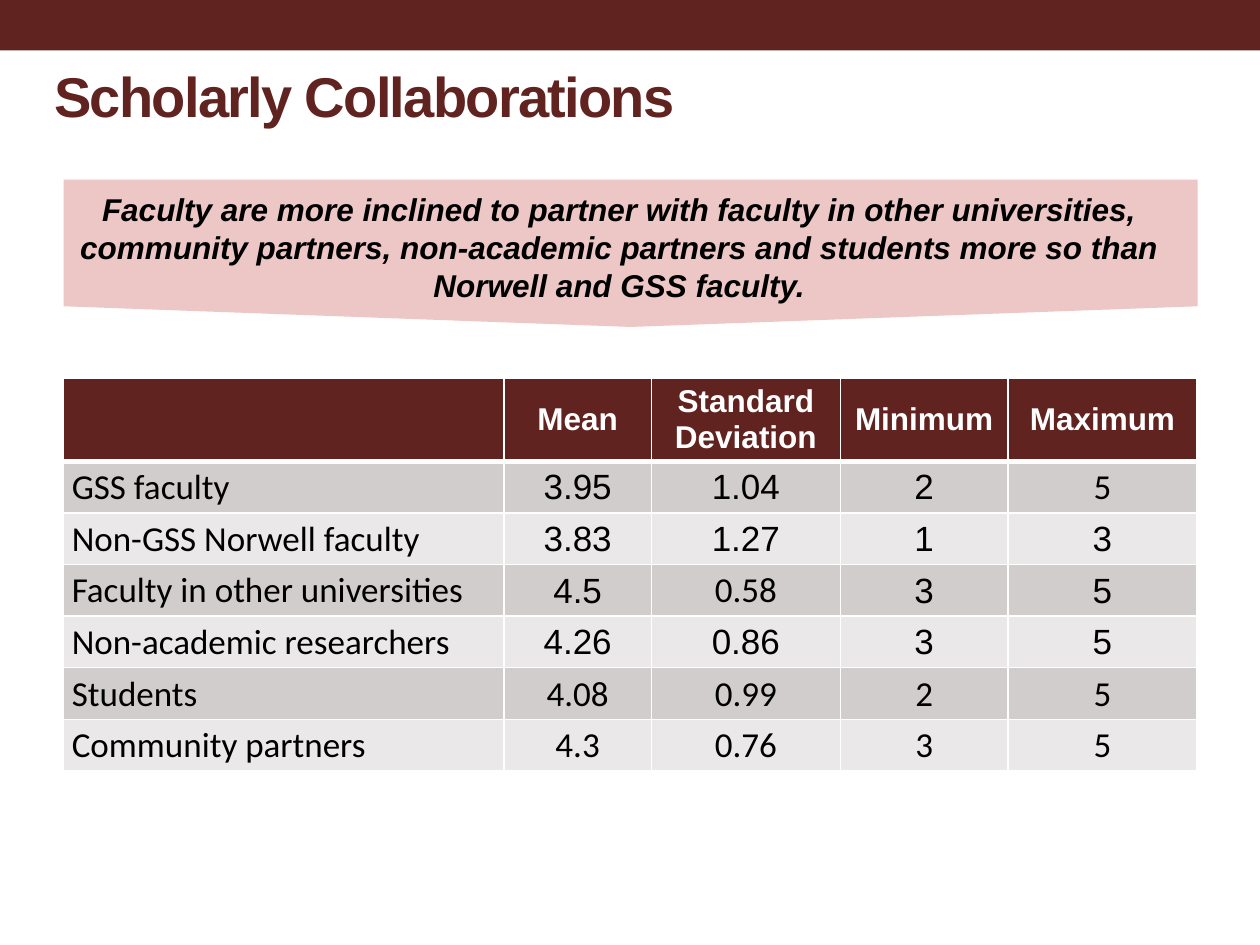
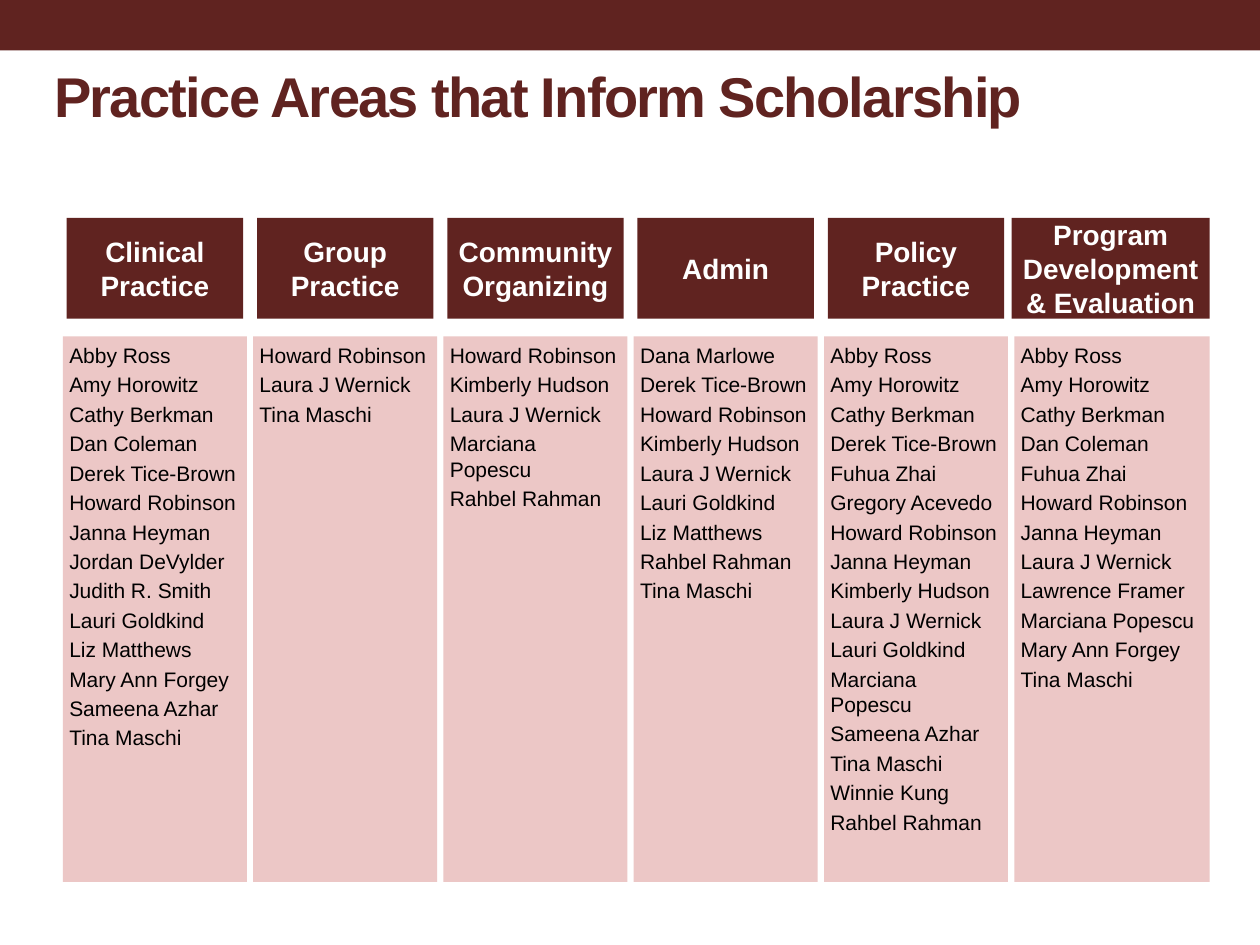
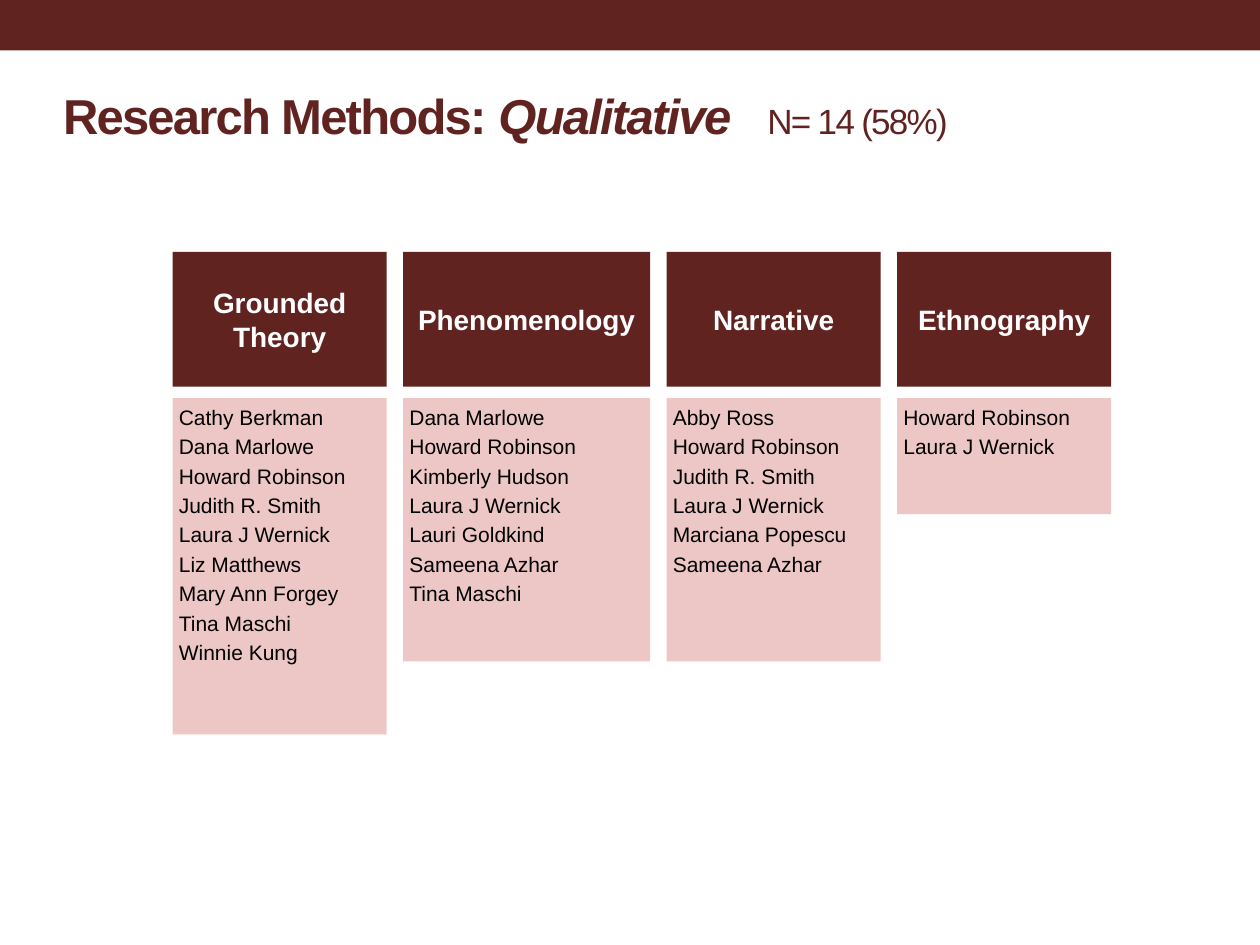
from lxml import etree
from pptx import Presentation
from pptx.dml.color import RGBColor
from pptx.enum.shapes import MSO_SHAPE as SHAPE
from pptx.enum.text import MSO_ANCHOR as ANCHOR, PP_ALIGN as ALIGN
from pptx.oxml.ns import qn
from pptx.util import Inches, Pt

COLOURS = {"maroon": "602320", "pink": "ECC7C6", "white": "FFFFFF",
           "black": "000000", "odd row": "D2CDCD", "even row": "EAE8E8"}


def write(paragraph, text, size, colour, bold=False, italic=False, font="Arial"):
    run = paragraph.add_run()
    run.text = text
    run.font.size, run.font.name = Pt(size), font
    run.font.bold, run.font.italic = bold, italic
    run.font.color.rgb = RGBColor.from_string(COLOURS[colour])
    return run


def add_panel(slide, preset, left, top, width, height, colour):
    panel = slide.shapes.add_shape(preset, Inches(left), Inches(top),
                                   Inches(width), Inches(height))
    panel.shadow.inherit = False
    panel.fill.solid()
    panel.fill.fore_color.rgb = RGBColor.from_string(COLOURS[colour])
    panel.line.fill.background()
    frame = panel.text_frame
    frame.margin_left = frame.margin_right = Inches(0.04 if colour == "maroon" else 0.05)
    frame.margin_top = frame.margin_bottom = Inches(0.05)
    frame.vertical_anchor = ANCHOR.MIDDLE if colour == "maroon" else ANCHOR.TOP
    return panel


deck = Presentation()
deck.slide_width, deck.slide_height = Inches(10), Inches(7.5)
title_only = deck.slide_layouts[5]

# Titles: left, top, then runs of text, size, bold, italic
titles = [
    (0.33, 0.42, [("Scholarly Collaborations", 32, True, False)]),
    (0.33, 0.42, [("Practice Areas that Inform Scholarship", 32, True, False)]),
    (0.4, 0.58, [("Research Methods: ", 28, True, False),
                 ("Qualitative", 28, True, True),
                 ("\tN= 14 (58%)", 20, False, False)]),
]
for left, top, runs in titles:
    slide = deck.slides.add_slide(title_only)
    title = slide.shapes.title
    title.left, title.top = Inches(left), Inches(top)
    title.width, title.height = Inches(10 - left), Inches(0.67)
    title.text_frame.vertical_anchor = ANCHOR.MIDDLE
    heading = title.text_frame.paragraphs[0]
    heading.alignment = ALIGN.LEFT
    for text, size, bold, italic in runs:
        run = write(heading, text, size, "maroon", bold, italic)
        run.font._element.set("spc", "-100")
collaborations, practice, methods = deck.slides

# Tab stop that sets the count apart from the method
tab_list = etree.SubElement(heading._p.get_or_add_pPr(), qn("a:tabLst"))
etree.SubElement(tab_list, qn("a:tab"), pos=str(Inches(5.59)), algn="l")

# Top band, shared through the layout
band = add_panel(collaborations, SHAPE.RECTANGLE, 0, 0, 10, 0.4, "maroon")
title_only.shapes.element.append(band._element)

# Slide 1: key finding on a downward banner
banner = add_panel(collaborations, SHAPE.PENTAGON, 4.42, -2.49, 1.17, 9, "pink")
banner.adjustments[0] = 0.14
banner.rotation = 90
finding = collaborations.shapes.add_textbox(Inches(0.33), Inches(1.46),
                                            Inches(9.17), Inches(1.01))
finding.text_frame.word_wrap = True
sentence = finding.text_frame.paragraphs[0]
sentence.alignment = ALIGN.CENTER
write(sentence, "Faculty are more inclined to partner with faculty in other "
      "universities, community partners, non-academic partners and students "
      "more so than Norwell and GSS faculty.", 18, "black", True, True)

# Slide 1: ratings table
ratings = [
    ("", "Mean", "Standard Deviation", "Minimum", "Maximum"),
    ("GSS faculty", "3.95", "1.04", "2", "5"),
    ("Non-GSS Norwell faculty", "3.83", "1.27", "1", "3"),
    ("Faculty in other universities", "4.5", "0.58", "3", "5"),
    ("Non-academic researchers", "4.26", "0.86", "3", "5"),
    ("Students", "4.08", "0.99", "2", "5"),
    ("Community partners", "4.3", "0.76", "3", "5"),
]
calibri_figures = {(1, 4), (3, 2)}
table = collaborations.shapes.add_table(len(ratings), 5, Inches(0.5), Inches(3),
                                        Inches(9), Inches(3.11)).table
for column, width in zip(table.columns, (3.5, 1.17, 1.5, 1.33, 1.5)):
    column.width = Inches(width)
for r, row in enumerate(ratings):
    table.rows[r].height = Inches(0.41 if r else 0.65)
    for c, text in enumerate(row):
        cell = table.cell(r, c)
        cell.vertical_anchor = ANCHOR.MIDDLE
        cell.fill.solid()
        shade = "maroon" if r == 0 else "odd row" if r % 2 else "even row"
        cell.fill.fore_color.rgb = RGBColor.from_string(COLOURS[shade])
        entry = cell.text_frame.paragraphs[0]
        entry.alignment = ALIGN.CENTER if c else ALIGN.LEFT
        if r:
            cell.margin_left = Inches(0.01 if c else 0.07)
            cell.margin_right = cell.margin_top = Inches(0.01)
            cell.margin_bottom = 0
            calibri = c == 0 or r >= 5 or (r, c) in calibri_figures
            write(entry, text, 20, "black", font="Calibri" if calibri else "Arial")
            continue
        # Heading cell with a heavier rule below
        cell.margin_top = cell.margin_bottom = Inches(0.03)
        rule = etree.Element(qn("a:lnB"), w=str(Pt(3)))
        rule_fill = etree.SubElement(rule, qn("a:solidFill"))
        etree.SubElement(rule_fill, qn("a:srgbClr"), val=COLOURS["white"])
        cell._tc.get_or_add_tcPr().insert(0, rule)
        if text:
            write(entry, text, 18, "white", bold=True)

# Slides 2 and 3: heading lines and the names below them
practice_areas = [
    (["Clinical", "Practice"],
     ["Abby Ross", "Amy Horowitz", "Cathy Berkman", "Dan Coleman",
      "Derek Tice-Brown", "Howard Robinson", "Janna Heyman", "Jordan DeVylder",
      "Judith R. Smith", "Lauri Goldkind", "Liz Matthews", "Mary Ann Forgey",
      "Sameena Azhar", "Tina Maschi"]),
    (["Group", "Practice"],
     ["Howard Robinson", "Laura J Wernick", "Tina Maschi"]),
    (["Community", "Organizing"],
     ["Howard Robinson", "Kimberly Hudson", "Laura J Wernick",
      "Marciana Popescu", "Rahbel Rahman"]),
    (["Admin"],
     ["Dana Marlowe", "Derek Tice-Brown", "Howard Robinson", "Kimberly Hudson",
      "Laura J Wernick", "Lauri Goldkind", "Liz Matthews", "Rahbel Rahman",
      "Tina Maschi"]),
    (["Policy", "Practice"],
     ["Abby Ross", "Amy Horowitz", "Cathy Berkman", "Derek Tice-Brown",
      "Fuhua Zhai", "Gregory Acevedo", "Howard Robinson", "Janna Heyman",
      "Kimberly Hudson", "Laura J Wernick", "Lauri Goldkind",
      "Marciana Popescu", "Sameena Azhar", "Tina Maschi", "Winnie Kung",
      "Rahbel Rahman"]),
    (["Program", "Development", "& Evaluation"],
     ["Abby Ross", "Amy Horowitz", "Cathy Berkman", "Dan Coleman", "Fuhua Zhai",
      "Howard Robinson", "Janna Heyman", "Laura J Wernick", "Lawrence Framer",
      "Marciana Popescu", "Mary Ann Forgey", "Tina Maschi"]),
]
# Method, column width, list height, names
qualitative_methods = [
    ("Grounded Theory", 1.7, 2.67,
     ["Cathy Berkman", "Dana Marlowe", "Howard Robinson", "Judith R. Smith",
      "Laura J Wernick", "Liz Matthews", "Mary Ann Forgey", "Tina Maschi",
      "Winnie Kung"]),
    ("Phenomenology", 1.96, 2.09,
     ["Dana Marlowe", "Howard Robinson", "Kimberly Hudson", "Laura J Wernick",
      "Lauri Goldkind", "Sameena Azhar", "Tina Maschi"]),
    ("Narrative", 1.7, 2.09,
     ["Abby Ross", "Howard Robinson", "Judith R. Smith", "Laura J Wernick",
      "Marciana Popescu", "Sameena Azhar"]),
    ("Ethnography", 1.7, 0.92, ["Howard Robinson", "Laura J Wernick"]),
]

# Place the columns: slide, heading box, list box, heading lines, names
columns = []
for i, (lines, names) in enumerate(practice_areas):
    last = i == len(practice_areas) - 1
    left = 0.5 + 1.51 * i
    head_box = (8.03, 1.73, 1.57, 0.8) if last else (left + 0.03, 1.73, 1.4, 0.8)
    list_box = (left, 2.67, 1.55 if last else 1.46, 4.33)
    columns.append((practice, head_box, list_box, lines, names))
left = 1.37
for method, width, height, names in qualitative_methods:
    columns.append((methods, (left, 2, width, 1.07), (left, 3.16, width, height),
                    [method], names))
    left += width + 0.13

# Draw the columns
for slide, head_box, list_box, lines, names in columns:
    head = add_panel(slide, SHAPE.RECTANGLE, *head_box, "maroon").text_frame
    head.word_wrap = slide is methods
    people = add_panel(slide, SHAPE.RECTANGLE, *list_box, "pink").text_frame
    people.word_wrap = True
    for i, line in enumerate(lines):
        paragraph = head.add_paragraph() if i else head.paragraphs[0]
        paragraph.alignment = ALIGN.CENTER
        write(paragraph, line, 16, "white", bold=True)
    for i, name in enumerate(names):
        paragraph = people.add_paragraph() if i else people.paragraphs[0]
        paragraph.alignment = ALIGN.LEFT
        paragraph.space_before = Pt(2.4)
        write(paragraph, name, 12, "black")

deck.save("out.pptx")
